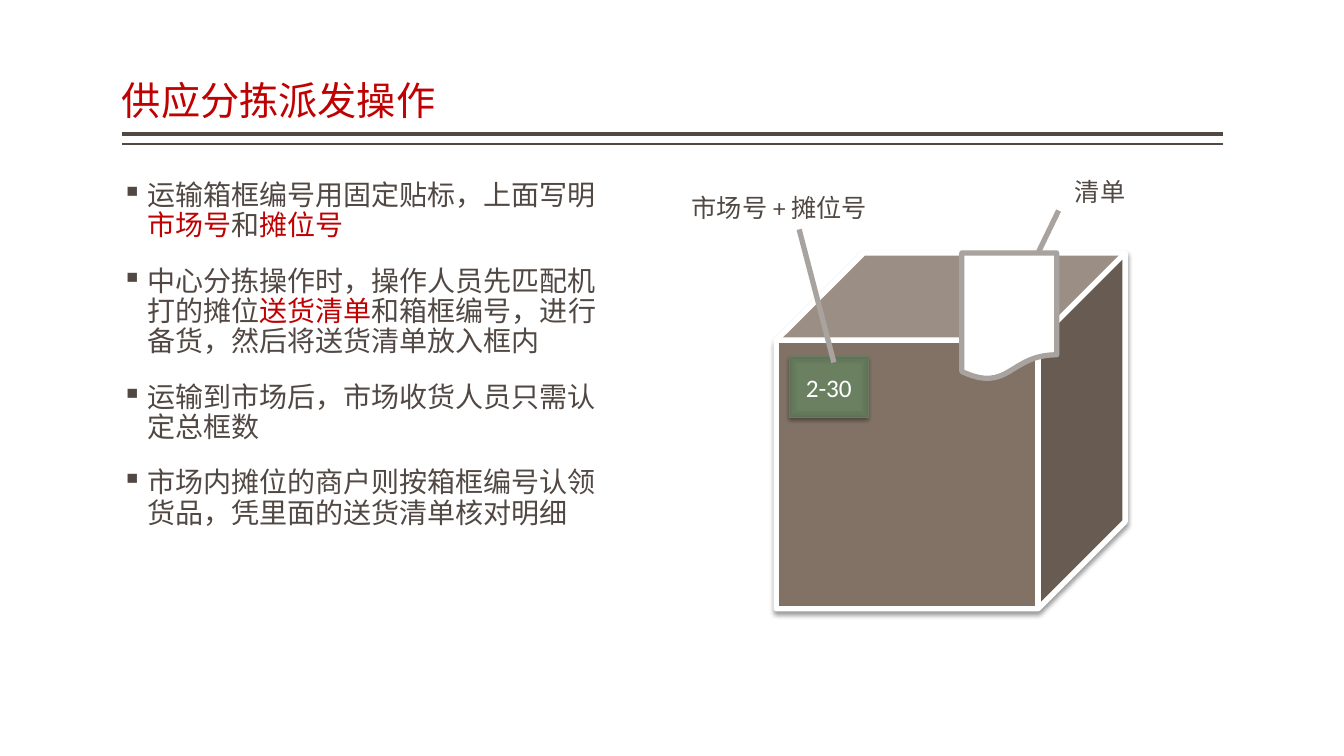
from lxml import etree
from pptx import Presentation
from pptx.dml.color import RGBColor
from pptx.enum.shapes import MSO_CONNECTOR, MSO_SHAPE
from pptx.enum.text import MSO_ANCHOR, PP_ALIGN
from pptx.oxml import parse_xml
from pptx.oxml.ns import nsdecls, qn
from pptx.util import Inches, Pt

STRAIGHT = MSO_CONNECTOR.STRAIGHT
CUBE, RECT = MSO_SHAPE.CUBE, MSO_SHAPE.RECTANGLE
CALLOUT = MSO_SHAPE.LINE_CALLOUT_1_NO_BORDER
DOCUMENT = MSO_SHAPE.FLOWCHART_DOCUMENT
TOP, MIDDLE, BOTTOM = MSO_ANCHOR.TOP, MSO_ANCHOR.MIDDLE, MSO_ANCHOR.BOTTOM
LEFT, CENTER = PP_ALIGN.LEFT, PP_ALIGN.CENTER

COLORS = {
    "text": "514843", "accent": "BF0102", "white": "FFFFFF", "box": "827266",
    "paper_line": "A8A39E", "badge_line": "6A7B63", "shadow": "000000",
}
BADGE_STOPS = [(0, "6B8162"), (71, "6A8061"), (100, "5F7256")]
TITLE_FONT, BODY_FONT = "Noto Sans CJK SC", "Calibri"
MARGIN, CONTENT_WIDTH = 1.21, 10.92


def rgb(name):
    return RGBColor.from_string(COLORS[name])


class SlideBuilder:
    def __init__(self, slide):
        self.slide = slide

    def rule(self, y, width):
        line = self.slide.shapes.add_connector(
            STRAIGHT, Inches(MARGIN + CONTENT_WIDTH), Inches(y), Inches(MARGIN), Inches(y))
        line.line.color.rgb = rgb("text")
        line.line.width = Pt(width)
        etree.SubElement(line._element.spPr, qn("a:effectLst"))

    def run(self, p, text, size, color, font=BODY_FONT):
        r = p.add_run()
        r.text = text
        r.font.size = Pt(size)
        r.font.name = font
        r.font.color.rgb = rgb(color)
        etree.SubElement(r._r.get_or_add_rPr(), qn("a:ea"), typeface=font)

    def text_box(self, box, anchor=TOP):
        sp = self.slide.shapes.add_textbox(*map(Inches, box))
        tf = sp.text_frame
        tf.word_wrap = True
        tf.vertical_anchor = anchor
        tf.margin_left = tf.margin_right = 0
        return tf

    def title(self, box, text):
        p = self.text_box(box, BOTTOM).paragraphs[0]
        p.line_spacing = 0.9
        self.run(p, text, 28, "accent", TITLE_FONT)

    def bullets(self, box, items):
        """Each item is a list of (text, color) runs."""
        tf = self.text_box(box)
        for i, item in enumerate(items):
            p = tf.paragraphs[0] if i == 0 else tf.add_paragraph()
            p.alignment = LEFT
            p.line_spacing = 0.9
            p.space_before = Pt(18 if i else 0)
            pPr = p._p.get_or_add_pPr()
            pPr.set("marL", str(Inches(0.25)))
            pPr.set("indent", str(Inches(-0.25)))
            etree.SubElement(pPr, qn("a:buChar"), char="▪")
            for text, color in item:
                self.run(p, text, 20, color)

    def shape(self, kind, box, fill, line, width, text=None, color="text", adjust=()):
        sp = self.slide.shapes.add_shape(kind, *map(Inches, box))
        sp.shadow.inherit = False
        sp.fill.solid()
        sp.fill.fore_color.rgb = rgb(fill)
        sp.line.color.rgb = rgb(line)
        sp.line.width = Pt(width)
        for i, value in enumerate(adjust):
            sp.adjustments[i] = value
        if text:
            tf = sp.text_frame
            tf.word_wrap = True
            tf.vertical_anchor = MIDDLE
            p = tf.paragraphs[0]
            p.alignment = CENTER
            self.run(p, text, 18, color)
        return sp

    def callout(self, box, text, adjust):
        self.shape(CALLOUT, box, "white", "paper_line", 3.78, text, adjust=adjust)

    def drop_shadow(self, sp, blur):
        sp._element.spPr.find(qn("a:effectLst")).append(parse_xml(
            f'<a:outerShdw {nsdecls("a")} blurRad="{Pt(blur)}" dist="{Pt(2)}" '
            f'dir="5400000" rotWithShape="0"><a:srgbClr val="{COLORS["shadow"]}">'
            '<a:alpha val="38000"/></a:srgbClr></a:outerShdw>'))

    def center_gradient(self, sp, stops):
        gs = "".join(f'<a:gs pos="{pos * 1000}"><a:srgbClr val="{color}"/></a:gs>'
                     for pos, color in stops)
        spPr = sp._element.spPr
        spPr.replace(spPr.find(qn("a:solidFill")), parse_xml(
            f'<a:gradFill {nsdecls("a")} rotWithShape="1"><a:gsLst>{gs}</a:gsLst>'
            '<a:path path="rect"><a:fillToRect l="50000" t="50000" r="50000" b="50000"/>'
            '</a:path></a:gradFill>'))


def main():
    prs = Presentation()
    prs.slide_width, prs.slide_height = Inches(13.33), Inches(7.5)
    s = SlideBuilder(prs.slides.add_slide(prs.slide_layouts[6]))

    s.rule(1.33, 3)
    s.rule(1.43, 1)
    s.title((MARGIN, 0.08, CONTENT_WIDTH, 1.2), "供应分拣派发操作")
    s.bullets((MARGIN, 1.75, 4.84, 5), [
        [("运输箱框编号用固定贴标，上面写明", "text"), ("市场号", "accent"),
         ("和", "text"), ("摊位号", "accent")],
        [("中心分拣操作时，操作人员先匹配机打的摊位", "text"), ("送货清单", "accent"),
         ("和箱框编号，进行备货，然后将送货清单放入框内", "text")],
        [("运输到市场后，市场收货人员只需认定总框数", "text")],
        [("市场内摊位的商户则按箱框编号认领货品，凭里面的送货清单核对明细", "text")],
    ])

    crate = s.shape(CUBE, (7.7, 2.51, 3.46, 3.53), "box", "white", 3.82)
    s.drop_shadow(crate, 3.5)
    badge = s.shape(RECT, (7.83, 3.54, 0.78, 0.6), "box", "badge_line", 0.5, "2-30", "white")
    s.center_gradient(badge, BADGE_STOPS)
    s.drop_shadow(badge, 3.1)
    s.callout((10.12, 1.56, 1.58, 0.67), "清单", (0.79, 0.24, 1.52, 0.09))
    s.shape(DOCUMENT, (9.54, 2.51, 0.94, 1.26), "white", "paper_line", 3.78)
    s.callout((6.5, 1.72, 2.46, 0.67), "市场号 + 摊位号", (0.83, 0.58, 2.8, 0.72))

    prs.save("out.pptx")


if __name__ == "__main__":
    main()
